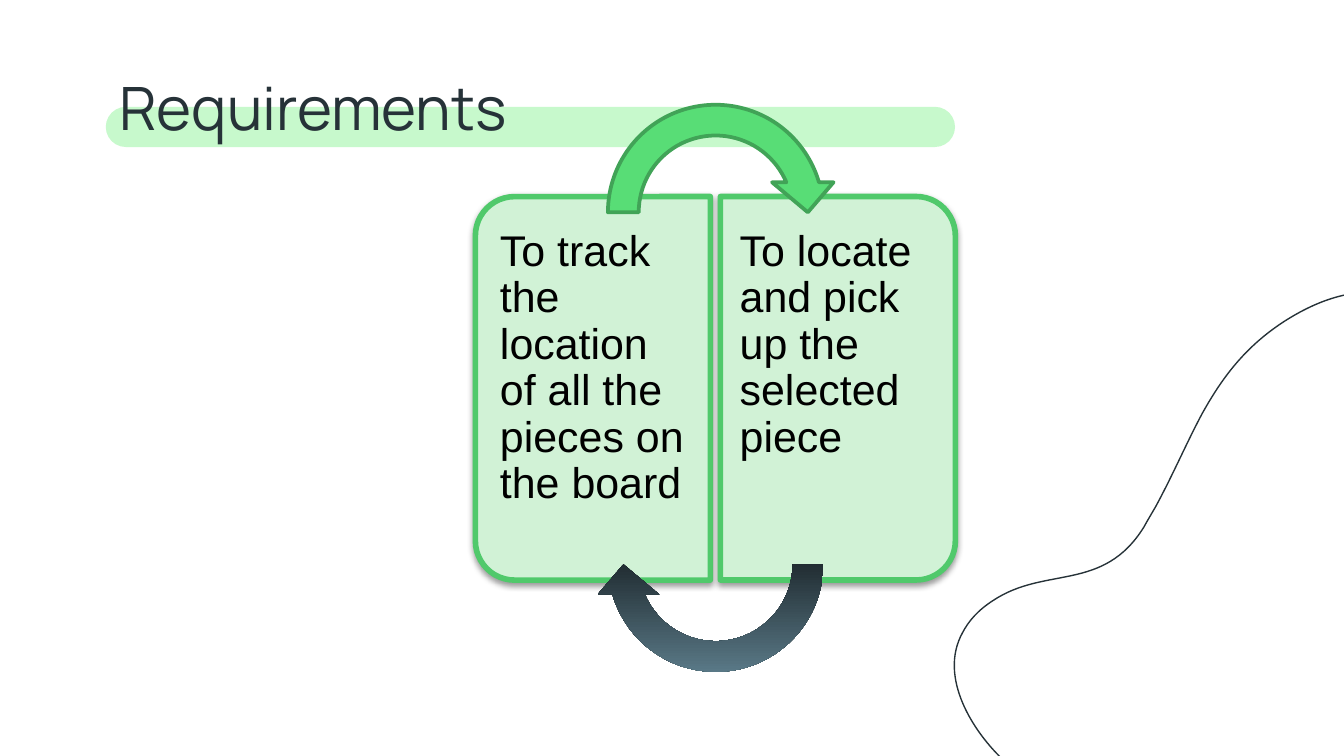
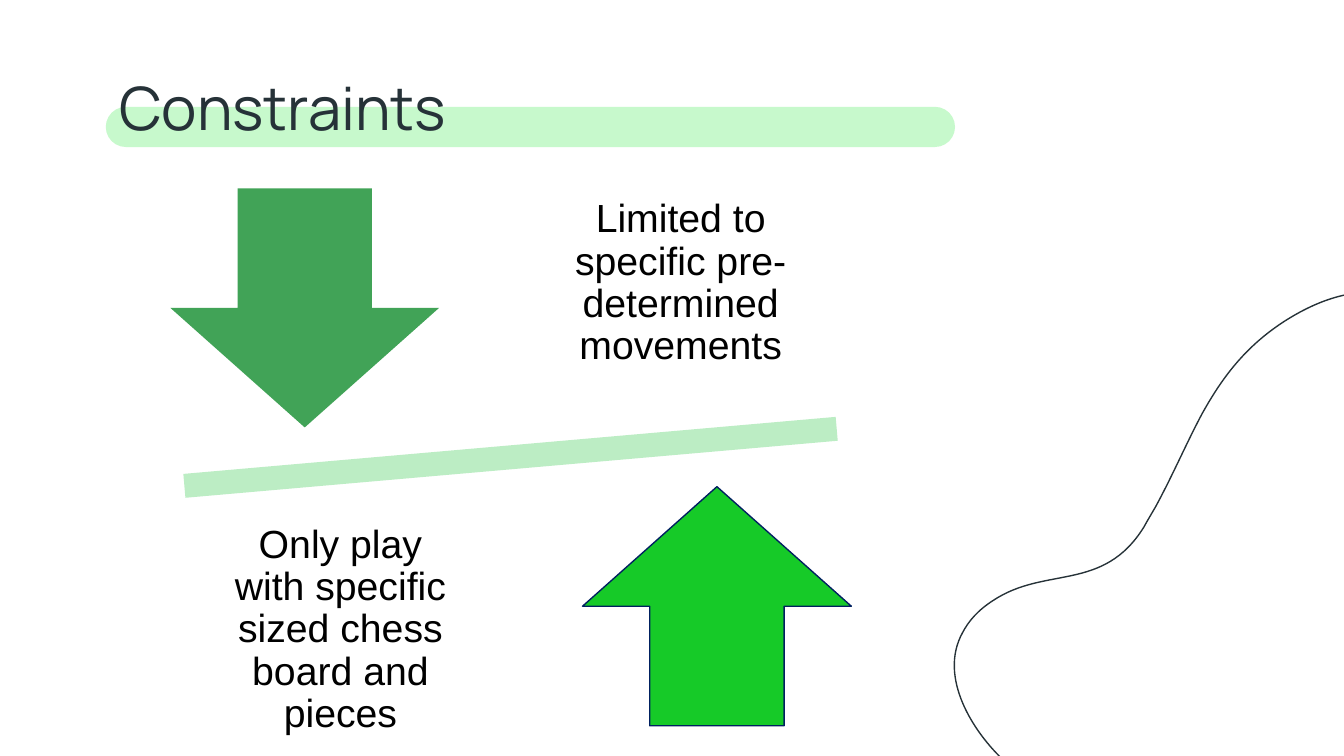
"""Build the Requirements and Constraints slides of a chess robot deck."""
import copy
import math
from dataclasses import dataclass
from typing import Optional

from lxml import etree
from pptx import Presentation
from pptx.dml.color import RGBColor
from pptx.enum import shapes, text
from pptx.oxml import ns
from pptx.util import Cm, Pt

WHITE = RGBColor(0xFF, 0xFF, 0xFF)
BLACK = RGBColor(0x00, 0x00, 0x00)
INK = RGBColor(0x26, 0x32, 0x38)
MINT = RGBColor(0xC7, 0xF9, 0xCC)
PANEL_FILL = RGBColor(0xD1, 0xF2, 0xD6)
PANEL_LINE = RGBColor(0x50, 0xC9, 0x6B)
BRIGHT = RGBColor(0x58, 0xDD, 0x76)
GREEN = RGBColor(0x41, 0xA3, 0x57)
BEAM = RGBColor(0xBC, 0xED, 0xC4)
VIVID = RGBColor(0x16, 0xCA, 0x28)
NAVY = RGBColor(0x00, 0x20, 0x60)
SLATE = ((0, RGBColor(0x11, 0x17, 0x1A)),
         (0.48, RGBColor(0x1F, 0x2A, 0x2F)),
         (1, RGBColor(0x61, 0x83, 0x92)))

SHAPE = shapes.MSO_SHAPE
LEFT, CENTER = text.PP_ALIGN.LEFT, text.PP_ALIGN.CENTER
TOP, MIDDLE = text.MSO_ANCHOR.TOP, text.MSO_ANCHOR.MIDDLE


@dataclass(frozen=True)
class Box:
    """A frame in centimetres."""
    left: float
    top: float
    width: float
    height: float

    def emu(self) -> tuple:
        """Return the frame as lengths."""
        return Cm(self.left), Cm(self.top), Cm(self.width), Cm(self.height)


@dataclass(frozen=True)
class Figure:
    """A preset shape with its look."""
    kind: int
    box: Box
    fill: Optional[RGBColor] = None
    line: Optional[RGBColor] = None
    weight: float = 0.75
    rotation: float = 0
    adjust: tuple = ()


@dataclass(frozen=True)
class Label:
    """A text box with its format."""
    words: str
    box: Box
    size: int
    insets: tuple
    font: str = "Arial"
    color: RGBColor = BLACK
    align: int = LEFT
    anchor: int = TOP
    spacing: float = 0.9
    after: float = 0


CURVE_ROTATION = 298.7
CURVE_BOX = Box(17.78, 6.4, 12.24, 8.99)
CURVE_START = (18.19, 11.96)
CURVE = (
    ((18.31, 11.73), (18.49, 11.53), (18.77, 11.35)),
    ((19.76, 10.69), (20.85, 11.2), (21.62, 9.96)),
    ((21.69, 9.83), (21.77, 9.7), (21.84, 9.58)),
    ((22.17, 8.97), (22.43, 8.36), (22.73, 7.8)),
    ((23.09, 7.16), (23.52, 6.55), (24.31, 6.05)),
    ((25.65, 5.21), (26.75, 5.41), (27.76, 6.35)),
    ((29.51, 7.82), (29.49, 10.03), (28.42, 11.96)),
    ((27.97, 12.73), (27.33, 13.59), (26.54, 14.25)),
    ((24.05, 16.36), (21.03, 16.31), (19, 14.4)),
    ((18.39, 13.84), (17.73, 12.8), CURVE_START),
)


def add_figure(slide, fig: Figure):
    """Draw a preset shape without a shadow."""
    sp = slide.shapes.add_shape(fig.kind, *fig.box.emu())
    sp.shadow.inherit = False
    sp.rotation = fig.rotation
    for i, value in enumerate(fig.adjust):
        sp.adjustments[i] = value
    if fig.fill is not None:
        sp.fill.solid()
        sp.fill.fore_color.rgb = fig.fill
    if fig.line is None:
        sp.line.fill.background()
    else:
        sp.line.color.rgb = fig.line
        sp.line.width = Pt(fig.weight)
    return sp


def add_label(slide, label: Label) -> None:
    """Draw a text box."""
    tf = slide.shapes.add_textbox(*label.box.emu()).text_frame
    tf.word_wrap = True
    tf.vertical_anchor = label.anchor
    tf.margin_left, tf.margin_top, tf.margin_right, tf.margin_bottom = map(Cm, label.insets)
    tf.text = label.words
    p = tf.paragraphs[0]
    p.alignment = label.align
    p.line_spacing = label.spacing
    p.space_after = Pt(label.after)
    for r in p.runs:
        r.font.name = label.font
        r.font.size = Pt(label.size)
        r.font.color.rgb = label.color


def add_soft_shadow(sp) -> None:
    """Give a shape a faint shadow below it."""
    effects = sp._element.spPr.find(ns.qn("a:effectLst"))
    shadow = etree.SubElement(effects, ns.qn("a:outerShdw"), blurRad=str(Pt(3.1)),
                              dist=str(Pt(1.6)), dir="5400000", rotWithShape="0")
    color = etree.SubElement(shadow, ns.qn("a:srgbClr"), val=str(BLACK))
    etree.SubElement(color, ns.qn("a:alpha"), val="38000")


def fill_gradient(sp, stops: tuple) -> None:
    """Fill a shape with three colours running upwards."""
    sp.fill.gradient()
    sp.fill.gradient_angle = 90
    gs_list = sp._element.spPr.find(".//" + ns.qn("a:gsLst"))
    gs_list.insert(1, copy.deepcopy(gs_list[0]))
    for stop, (position, color) in zip(sp.fill.gradient_stops, stops):
        stop.position = position
        stop.color.rgb = color


def to_frame(point: tuple) -> tuple:
    """Turn a slide point back into the unrotated curve frame."""
    angle = math.radians(-CURVE_ROTATION)
    half = complex(CURVE_BOX.width, CURVE_BOX.height) / 2
    offset = complex(*point) - complex(CURVE_BOX.left, CURVE_BOX.top) - half
    z = half + offset * complex(math.cos(angle), math.sin(angle))
    return Cm(z.real), Cm(z.imag)


def add_segment(outline, tag: str, points: tuple) -> None:
    """Append one drawing step to an outline."""
    step = etree.SubElement(outline, ns.qn(tag))
    for x, y in map(to_frame, points):
        etree.SubElement(step, ns.qn("a:pt"), x=str(x), y=str(y))


def add_curve(slide) -> None:
    """Draw the outlined blob at the lower right with Bézier segments."""
    left, top, width, height = CURVE_BOX.emu()
    builder = slide.shapes.build_freeform(left, top)
    builder.add_line_segments([(left + width, top + height)])
    sp = builder.convert_to_shape()
    outline = sp._element.spPr.find(".//" + ns.qn("a:path"))
    for step in list(outline):
        outline.remove(step)
    add_segment(outline, "a:moveTo", (CURVE_START,))
    for points in CURVE:
        add_segment(outline, "a:cubicBezTo", points)
    etree.SubElement(outline, ns.qn("a:close"))
    sp.rotation = CURVE_ROTATION
    sp.shadow.inherit = False
    sp.fill.background()
    sp.line.color.rgb = INK
    sp.line.width = Pt(0.75)


def add_base(prs, title: str):
    """Add a slide with the shared band, curve and title."""
    slide = prs.slides.add_slide(prs.slide_layouts[6])
    slide.background.fill.solid()
    slide.background.fill.fore_color.rgb = WHITE
    add_figure(slide, Figure(SHAPE.ROUNDED_RECTANGLE, Box(2, 2.02, 16.05, 0.76),
                             MINT, adjust=(0.5,)))
    add_curve(slide)
    add_label(slide, Label(title, Box(2, 1.08, 21.41, 1.7), 32, (0.25,) * 4,
                           "Manrope", INK, spacing=1))
    return slide


def add_requirements(prs) -> None:
    """Build the slide with two panels joined by circular arrows."""
    slide = add_base(prs, "Requirements")
    panels = (
        ("To track the location of all the pieces on the board",
         7.58, 270, 9.2, (0.25, 0.41, 0.36, 0.41)),
        ("To locate and pick up the selected piece",
         12.21, 90, 13.62, (0.36, 0.41, 0.25, 0.41)),
    )
    for words, left, rotation, text_left, insets in panels:
        sp = add_figure(slide, Figure(SHAPE.ROUND_2_SAME_RECTANGLE, Box(left, 5.12, 7.25, 4.44),
                                      PANEL_FILL, PANEL_LINE, 3, rotation, (0.167, 0)))
        add_soft_shadow(sp)
        add_label(slide, Label(words, Box(text_left, 3.93, 4.22, 6.83), 23, insets, after=8))

    bend = (0.125, 11.423, 204.577, 108, 0.125)
    add_figure(slide, Figure(SHAPE.CIRCULAR_ARROW, Box(11.2, 1.69, 4.65, 4.65),
                             BRIGHT, GREEN, 2, adjust=bend))
    back = add_figure(slide, Figure(SHAPE.CIRCULAR_ARROW, Box(11.2, 8.34, 4.65, 4.65),
                                    rotation=180, adjust=bend))
    fill_gradient(back, SLATE)


def add_constraints(prs) -> None:
    """Build the slide with two arrows balanced on a beam."""
    slide = add_base(prs, "Constraints")
    add_figure(slide, Figure(SHAPE.MATH_MINUS, Box(1.23, 7.68, 16.84, 1.93), BEAM, rotation=355))
    sides = (
        (Figure(SHAPE.DOWN_ARROW, Box(3.22, 3.56, 5.08, 4.52), GREEN),
         "Limited to specific pre-determined movements", 10.16, 2.99),
        (Figure(SHAPE.UP_ARROW, Box(11.01, 9.2, 5.08, 4.52), VIVID, NAVY),
         "Only play with specific sized chess board and pieces", 3.73, 9.54),
    )
    for arrow, words, left, top in sides:
        add_figure(slide, arrow)
        add_label(slide, Label(words, Box(left, top, 5.41, 4.75), 21, (0.41,) * 4,
                               align=CENTER, anchor=MIDDLE, after=7))


def main() -> None:
    """Build and save the deck."""
    prs = Presentation()
    prs.slide_width, prs.slide_height = Cm(25.4), Cm(14.29)
    add_requirements(prs)
    add_constraints(prs)
    prs.save("out.pptx")


if __name__ == "__main__":
    main()
